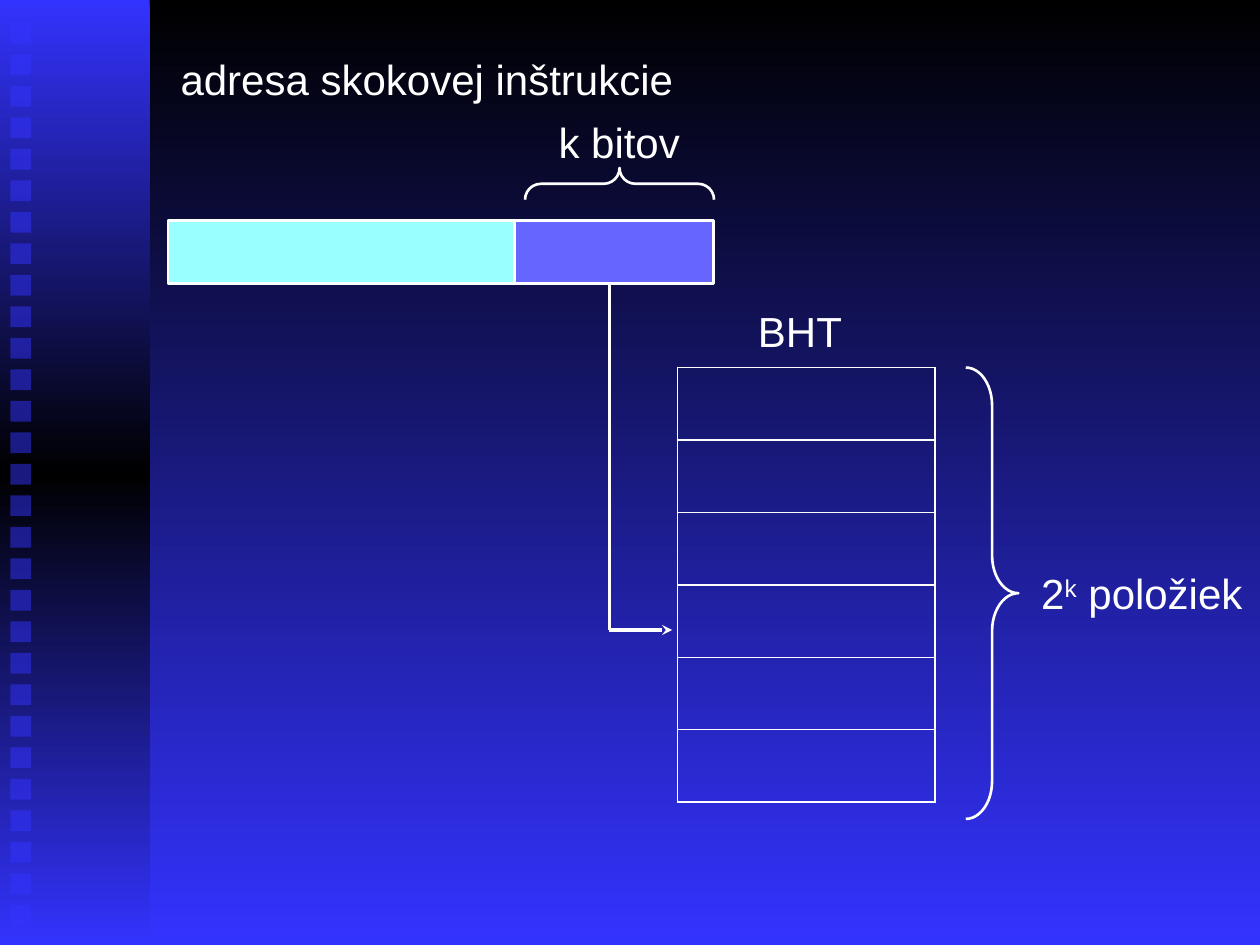
"""Build a slide showing how k address bits index the branch history table."""
from copy import deepcopy

from pptx import Presentation
from pptx.dml.color import RGBColor
from pptx.enum.dml import MSO_FILL
from pptx.enum.shapes import MSO_CONNECTOR, MSO_SHAPE
from pptx.oxml.ns import qn
from pptx.oxml.xmlchemy import OxmlElement
from pptx.util import Cm, Pt

RECTANGLE = MSO_SHAPE.RECTANGLE
RIGHT_BRACE = MSO_SHAPE.RIGHT_BRACE
STRAIGHT = MSO_CONNECTOR.STRAIGHT
GRADIENT = MSO_FILL.GRADIENT

COLOURS = {"white": "FFFFFF", "black": "000000", "blue": "3333FF",
           "cyan": "99FFFF", "violet": "6666FF"}
RGB = {name: RGBColor.from_string(value) for name, value in COLOURS.items()}
TEXT_FORMAT = {"name": "Arial", "size": Pt(24)}
BOX_FORMAT = {"word_wrap": True, "margin_top": Cm(0.23)}
NO_STYLE = "{2D5ABB26-0587-4C30-8999-92F81FD0307C}"


def add_figure(kind, bounds, fill=None, outline=None):
    figure = page.shapes.add_shape(kind, *map(Cm, bounds))
    figure.shadow.inherit = False
    if fill:
        figure.fill.solid()
        figure.fill.fore_color.rgb = RGB[fill]
    else:
        figure.fill.background()
    if outline:
        figure.line.color.rgb = RGB[outline]
        figure.line.width = Pt(1.5)
    else:
        figure.line.fill.background()
    return figure


def set_gradient(owner, element, names):
    owner.fill.gradient()
    owner.fill.gradient_angle = 270
    stop_list = element.find(".//" + qn("a:gsLst"))
    while len(stop_list) < len(names):
        stop_list.append(deepcopy(stop_list[0]))
    for index, (stop, name) in enumerate(zip(owner.fill.gradient_stops, names)):
        stop.position = index / (len(names) - 1)
        stop.color.rgb = RGB[name]


deck = Presentation()
deck.slide_width, deck.slide_height = Cm(25.4), Cm(19.05)
page = deck.slides.add_slide(deck.slide_layouts[6])
set_gradient(page.background, page.element, ["black", "blue"])

side_bar = add_figure(RECTANGLE, (0, 0, 3.02, 19.05))
set_gradient(side_bar, side_bar.element, ["blue", "black", "blue"])

square_count = 29
for index in range(square_count):
    top = 0.46 + index * 17.78 / (square_count - 1)
    square = add_figure(RECTANGLE, (0.21, top, 0.42, 0.42), "blue")
    alpha = OxmlElement("a:alpha")
    alpha.set("val", "50000")
    square.element.find(".//" + qn("a:srgbClr")).append(alpha)

row_count, row_height, column_widths = 6, 1.46, (6.04, 5.19)
history_table = page.shapes.add_table(
    row_count, 2, Cm(7.62), Cm(7.41), Cm(sum(column_widths)), Cm(row_count * row_height)).table
history_table.first_row = history_table.horz_banding = False
history_table._tbl.tblPr.find(qn("a:tableStyleId")).text = NO_STYLE
for column, width in zip(history_table.columns, column_widths):
    column.width = Cm(width)
for row in history_table.rows:
    row.height = Cm(row_height)
    for cell, sides in zip(row.cells, ("R", "LRTB")):
        properties = cell._tc.get_or_add_tcPr()
        for side in sides:
            border = OxmlElement("a:ln" + side)
            border.set("w", str(Pt(1)))
            paint = OxmlElement("a:solidFill")
            colour = OxmlElement("a:srgbClr")
            colour.set("val", COLOURS["white"])
            paint.append(colour)
            border.append(paint)
            properties.append(border)
        cell.fill.background()

add_figure(RECTANGLE, (3.39, 4.45, 6.98, 1.27), "cyan", "white")
add_figure(RECTANGLE, (10.37, 4.45, 4.02, 1.27), "violet", "white")

for bounds, curve, rotation in [((19.47, 7.41, 1.06, 9.1), 0.72, 0),
                                ((12.17, 1.8, 0.64, 3.81), 0.5, 270)]:
    brace = add_figure(RIGHT_BRACE, bounds, outline="white")
    brace.adjustments[0] = curve
    brace.rotation = rotation

labels = [
    ((3.39, 0.85, 11.64, 1.27), ["adresa skokovej inštrukcie"]),
    ((15.03, 5.93, 5.08, 1.27), ["BHT"]),
    ((20.74, 11.22, 5.72, 1.27), ["2", "k", " položiek"]),
    ((11.01, 2.12, 3.6, 1.27), ["k bitov"]),
]
for bounds, pieces in labels:
    frame = page.shapes.add_textbox(*map(Cm, bounds)).text_frame
    for name, value in BOX_FORMAT.items():
        setattr(frame, name, value)
    para = frame.paragraphs[0]
    for piece in pieces:
        span = para.add_run()
        span.text = piece
        for name, value in TEXT_FORMAT.items():
            setattr(span.font, name, value)
        span.font.color.rgb = RGB["white"]
        if piece == "k":
            span.font._element.set("baseline", "30000")

for ends in [(12.28, 5.72, 12.28, 12.7), (12.28, 12.7, 13.55, 12.7)]:
    pointer = page.shapes.add_connector(STRAIGHT, *map(Cm, ends))
    pointer.line.color.rgb = RGB["white"]
    pointer.line.width = Pt(1.75)
    pointer.element.spPr.append(OxmlElement("a:effectLst"))
arrowhead = OxmlElement("a:tailEnd")
arrowhead.set("type", "stealth")
pointer.element.spPr.find(qn("a:ln")).append(arrowhead)

deck.save("out.pptx")
